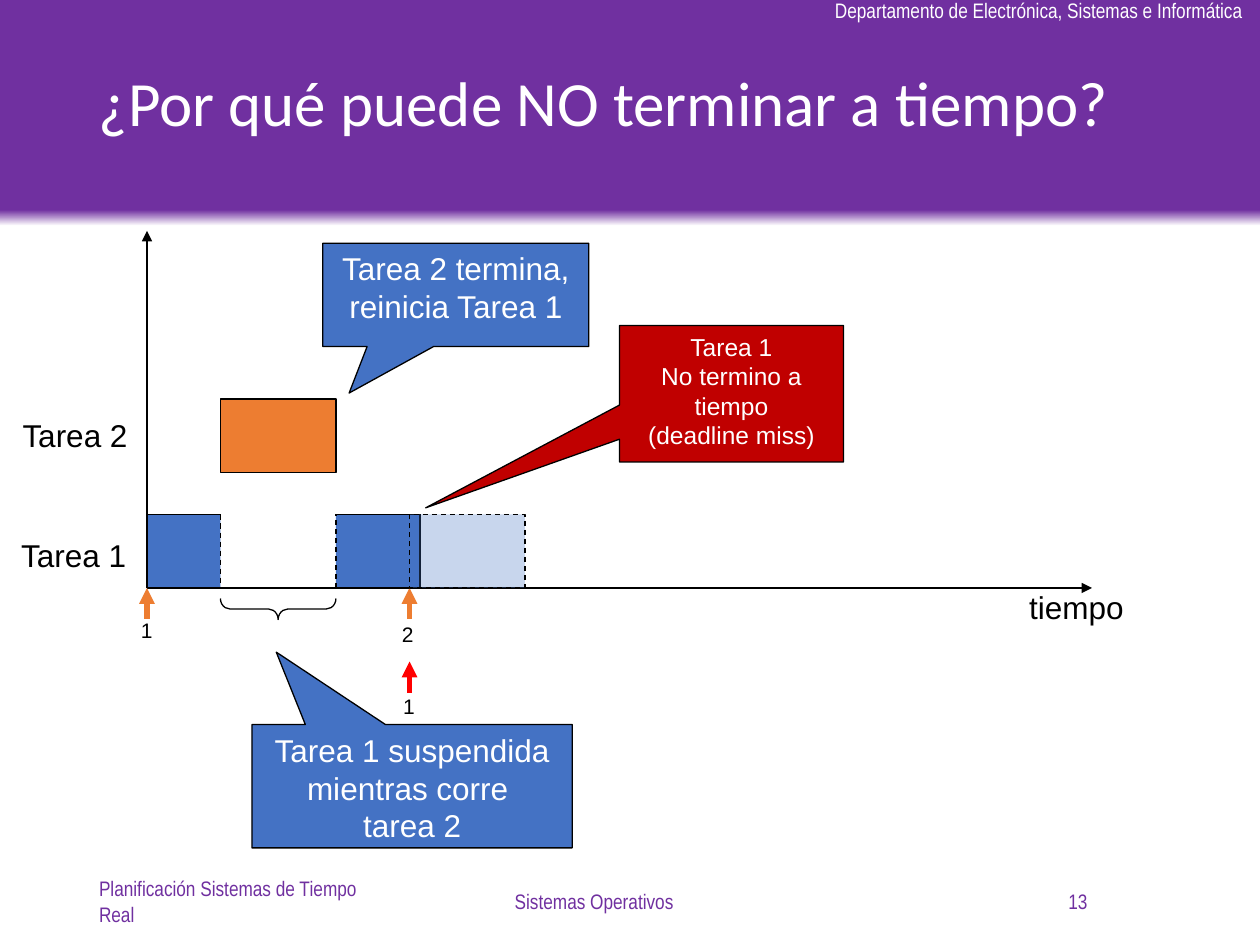
"""Build a slide on why a real-time task may miss its deadline."""
from pptx import Presentation
from pptx.dml.color import RGBColor
from pptx.enum.dml import MSO_LINE
from pptx.enum.shapes import MSO_CONNECTOR, MSO_SHAPE as Kind
from pptx.enum.text import MSO_ANCHOR as Anchor, PP_ALIGN as Align
from pptx.oxml.ns import qn
from pptx.util import Pt
from lxml.etree import SubElement

BLACK, WHITE, PURPLE = "000000", "FFFFFF", "7030A0"
BLUE, ORANGE, RED, CRIMSON = "4472C4", "ED7D31", "FF0000", "C00000"
rgb = RGBColor.from_string

deck = Presentation()
deck.slide_width, deck.slide_height = Pt(720), Pt(540)
slide = deck.slides.add_slide(deck.slide_layouts[6])
shapes = slide.shapes


def write(frame, lines, size, font, color, align):
    for i, line in enumerate(lines):
        para = frame.paragraphs[0] if i == 0 else frame.add_paragraph()
        para.alignment = align
        run = para.add_run()
        run.text = line
        run.font.size, run.font.name = Pt(size), font
        run.font.color.rgb = rgb(color)


def draw(kind, box, fill=None, line=None, dash=None, adj=()):
    shape = shapes.add_shape(kind, *map(Pt, box))
    shape.shadow.inherit = False
    for i, value in enumerate(adj):
        shape.adjustments[i] = value
    if fill:
        shape.fill.solid()
        shape.fill.fore_color.rgb = rgb(fill)
    else:
        shape.fill.background()
    if line:
        shape.line.color.rgb = rgb(line)
        shape.line.width = Pt(0.75)
        shape.line.dash_style = dash
    else:
        shape.line.fill.background()
    return shape


band = draw(Kind.RECTANGLE, (0, 0, 720, 129), PURPLE)
band.fill.gradient()
band.fill.gradient_angle = 90
for stop, place, color in zip(band.fill.gradient_stops, (0, 0.07), (WHITE, PURPLE)):
    stop.position = place
    stop.color.rgb = rgb(color)

base, top, left, tall = 336, 294, 84, 42
pause, back, due, end = 126, 192, 234, 240

draw(Kind.RECTANGLE, (left, top, pause - left, tall), BLUE)
draw(Kind.RECTANGLE, (pause, 228, back - pause, tall), ORANGE, BLACK)
draw(Kind.RECTANGLE, (back, top, end - back, tall), BLUE)

lines = [
    (left, base, 624, base, BLACK, 0.75, "tailEnd", None),
    (left, base, left, 132, BLACK, 0.75, "tailEnd", None),
    (left, base, left, 354, ORANGE, 3, "headEnd", None),
    (due, base, due, 354, ORANGE, 3, "headEnd", None),
    (due, 378, due, 396, RED, 3, "headEnd", None),
    (left, base, left, top, BLACK, 0.75, None, None),
    (left, top, pause, top, BLACK, 0.75, None, None),
    (pause, top, pause, base, BLACK, 0.75, None, MSO_LINE.DASH),
    (back, base, back, top, BLACK, 0.75, None, MSO_LINE.DASH),
    (back, top, end, top, BLACK, 0.75, None, None),
    (end, top, end, base, BLACK, 0.75, None, None),
]
for x1, y1, x2, y2, color, width, tip, dash in lines:
    link = shapes.add_connector(MSO_CONNECTOR.STRAIGHT, Pt(x1), Pt(y1), Pt(x2), Pt(y2))
    link.line.color.rgb = rgb(color)
    link.line.width = Pt(width)
    link.line.dash_style = dash
    if tip:
        SubElement(link.line._get_or_add_ln(), qn("a:" + tip), type="triangle")
    SubElement(link._element.spPr, qn("a:effectLst"))

late = draw(Kind.RECTANGLE, (due, top, 66, tall), BLUE, BLACK, MSO_LINE.DASH)
tint = late._element.spPr.find(qn("a:solidFill"))[0]
SubElement(tint, qn("a:alpha"), val="29000")

brace = draw(Kind.LEFT_BRACE, (153, 315, 12, 66), line=BLACK, adj=(0.458, 0.5))
brace.rotation = 270

calls = [
    ((354, 186, 128, 78), (-1.365, 0.836), CRIMSON, 14,
     ["Tarea 1", "No termino a tiempo", "(deadline miss)"]),
    ((144, 414, 183, 70.5), (-0.424, -1.087), BLUE, 18,
     ["Tarea 1 suspendida mientras corre ", "tarea 2"]),
    ((184.5, 139, 152, 59), (-0.401, 0.951), BLUE, 18,
     ["Tarea 2 termina, reinicia Tarea 1"]),
]
for box, adj, fill, size, words in calls:
    call = draw(Kind.RECTANGULAR_CALLOUT, box, fill, BLACK, adj=adj)
    call.text_frame.vertical_anchor = Anchor.TOP
    write(call.text_frame, words, size, "Arial", WHITE, Align.CENTER)

narrow, mid = "Arial Narrow", Anchor.MIDDLE
texts = [
    ("Departamento de Electrónica, Sistemas e Informática",
     (470, -5, 250.5, 21.6), 12, narrow, WHITE, Align.LEFT, Anchor.TOP, False),
    ("¿Por qué puede NO terminar a tiempo?",
     (49.5, 10.8, 621, 100), 36, "Calibri", WHITE, Align.LEFT, mid, True),
    ("Planificación Sistemas de Tiempo Real",
     (49.5, 500.5, 162, 28.8), 12, narrow, PURPLE, Align.LEFT, mid, True),
    ("Sistemas Operativos",
     (218, 500.5, 243, 28.8), 12, narrow, PURPLE, Align.CENTER, mid, True),
    ("13", (466.5, 500.5, 162, 28.8), 12, narrow, PURPLE, Align.RIGHT, mid, True),
]
labels = [
    ("tiempo", 581, 332.6, 68.4, 18),
    ("Tarea 1", 5, 303, 76.3, 18),
    ("Tarea 2", 5.8, 234, 76.3, 18),
    ("1", 73.4, 349.2, 21, 12),
    ("2", 222.5, 351.4, 21, 12),
    ("1", 223.2, 393, 21, 12),
]
for words, x, y, width, size in labels:
    box = (x, y, width, 1.2 * size + 7.2)
    texts.append((words, box, size, "Arial", BLACK, Align.LEFT, Anchor.TOP, False))
for words, box, size, font, color, align, anchor, wrap in texts:
    frame = shapes.add_textbox(*map(Pt, box)).text_frame
    frame.word_wrap = wrap
    frame.vertical_anchor = anchor
    write(frame, [words], size, font, color, align)
    if font == "Calibri":
        frame.paragraphs[0].line_spacing = 0.9

deck.save("out.pptx")
